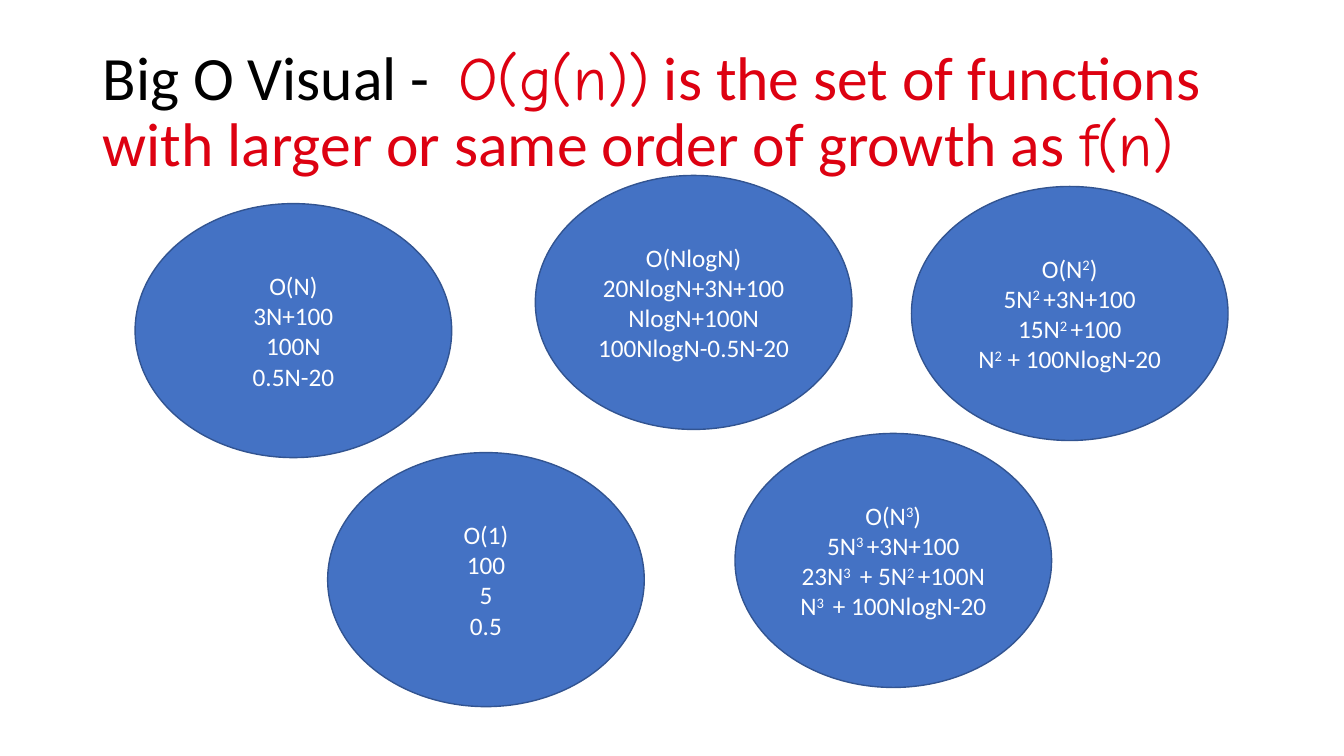
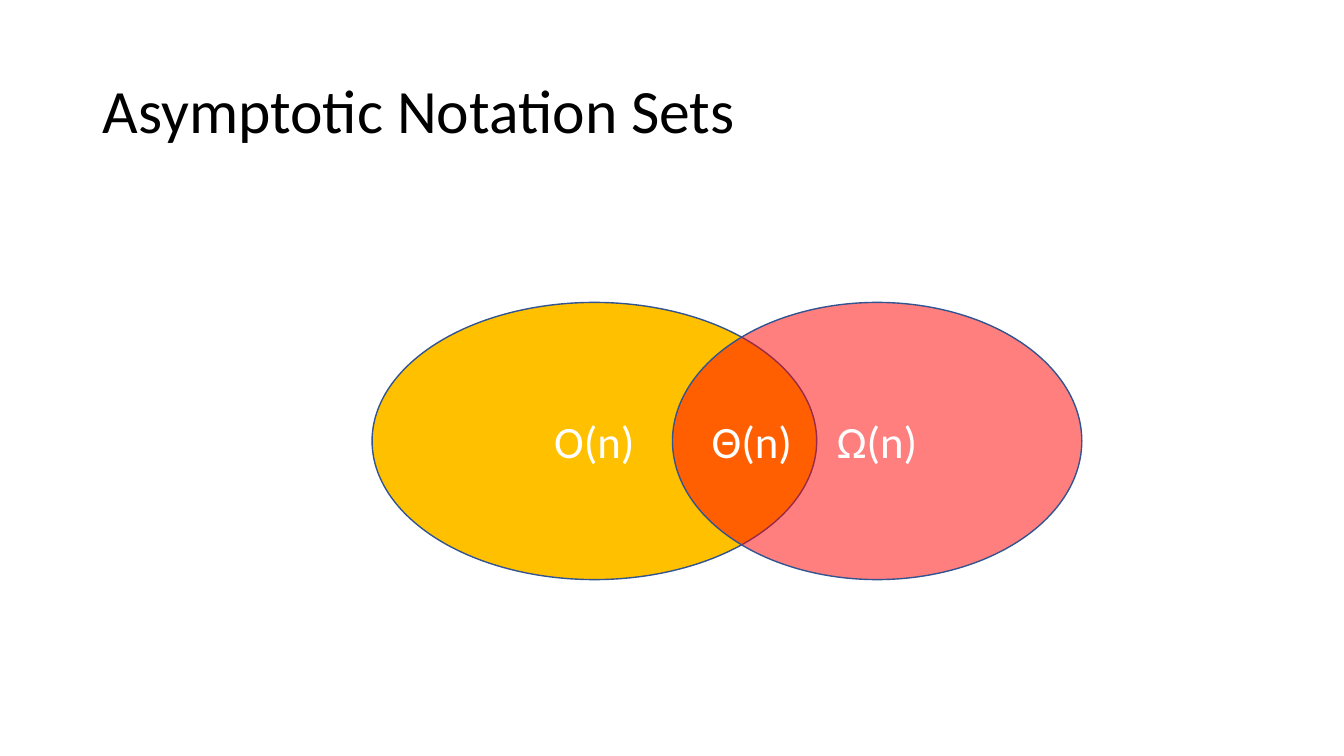
import pptx
import pptx.util
import pptx.dml.color
import pptx.enum.shapes
import pptx.enum.text
import pptx.oxml.ns
import lxml.etree

Inches = pptx.util.Inches
RGBColor = pptx.dml.color.RGBColor
ALIGN = pptx.enum.text.PP_ALIGN
ANCHOR = pptx.enum.text.MSO_ANCHOR

BLACK = RGBColor(0x00, 0x00, 0x00)
WHITE = RGBColor(0xFF, 0xFF, 0xFF)
CRIMSON = RGBColor(0xDD, 0x01, 0x11)
BLUE = RGBColor(0x44, 0x72, 0xC4)
NAVY = RGBColor(0x32, 0x54, 0x91)
GOLD = RGBColor(0xFF, 0xC0, 0x00)
RED = RGBColor(0xFF, 0x00, 0x00)

HEAD = {"name": "Calibri", "size": pptx.util.Pt(44), "color": BLACK}
BODY = {"name": "Calibri", "size": pptx.util.Pt(18), "color": WHITE}
LARGE = {**BODY, "size": pptx.util.Pt(32)}
NOTE = {"color": CRIMSON}
MATH = {"color": CRIMSON, "name": "Comic Neue"}

OVAL = (3.14, 2.52)
CLASSES = [
    ((1.34, 2.02), ["O(N)", "3N+100", "100N", "0.5N-20"]),
    ((5.31, 1.74), ["O(NlogN)", "20NlogN+3N+100", "NlogN+100N",
                    "100NlogN-0.5N-20"]),
    ((7.29, 4.3), ["O(N^3^)", "5N^3 ^+3N+100", "23N^3 ^ + 5N^2 ^+100N",
                   "N^3 ^ + 100NlogN-20"]),
    ((3.25, 4.49), ["O(1)", "100", "5", "0.5"]),
    ((9.04, 1.85), ["O(N^2^)", "5N^2 ^+3N+100", "15N^2 ^+100",
                    "N^2^ + 100NlogN-20"]),
]


def powers(line):
    """Split a line into runs; the parts between carets are raised."""
    return [(part, {"raised": True} if i % 2 else {})
            for i, part in enumerate(line.split("^")) if part]


class Deck:
    def __init__(self):
        self.show = pptx.Presentation()
        self.show.slide_width = Inches(13.33)
        self.show.slide_height = Inches(7.5)
        self.slide = None

    def page(self, *runs):
        self.slide = self.show.slides.add_slide(self.show.slide_layouts[6])
        frame = self.label((0.92, 0.4, 11.5, 1.45), [runs], HEAD)
        frame.vertical_anchor = ANCHOR.MIDDLE
        frame.paragraphs[0].line_spacing = 0.9

    def fill_text(self, frame, lines, style, align=ALIGN.LEFT):
        frame.word_wrap = True
        for i, runs in enumerate(lines):
            para = frame.add_paragraph() if i else frame.paragraphs[0]
            para.alignment = align
            for text, extra in runs:
                run = para.add_run()
                run.text = text
                self.dress(run, {**style, **extra})

    def dress(self, run, style):
        """Set the font of a run from a dict of format values."""
        for key, value in style.items():
            if key == "color":
                run.font.color.rgb = value
            elif key == "raised":
                run.font._element.set("baseline", "30000")
            else:
                setattr(run.font, key, value)

    def label(self, box, lines, style):
        frame = self.slide.shapes.add_textbox(*map(Inches, box)).text_frame
        self.fill_text(frame, lines, style)
        return frame

    def oval(self, box, lines, style=BODY, fill=BLUE, alpha=None):
        shape = self.slide.shapes.add_shape(
            pptx.enum.shapes.MSO_SHAPE.OVAL, *map(Inches, box))
        shape.shadow.inherit = False
        shape.fill.solid()
        shape.fill.fore_color.rgb = fill
        shape.line.color.rgb = NAVY
        shape.line.width = pptx.util.Pt(1)
        if alpha is not None:
            tag = pptx.oxml.ns.qn
            color = shape._element.spPr.find(
                tag("a:solidFill") + "/" + tag("a:srgbClr"))
            lxml.etree.SubElement(
                color, tag("a:alpha"), val=str(alpha * 1000))
        frame = shape.text_frame
        frame.vertical_anchor = ANCHOR.MIDDLE
        self.fill_text(frame, map(powers, lines), style, ALIGN.CENTER)


def main():
    deck = Deck()

    deck.page(("Big O Visual -  ", {}), ("O(g(n))", MATH),
              (" is the set of functions with larger or same order"
               " of growth as ", NOTE), ("f(n)", MATH))
    for spot, lines in CLASSES:
        deck.oval(spot + OVAL, lines)

    deck.page(("Asymptotic Notation Sets", {}))
    deck.oval((3.69, 3, 4.41, 2.75), ["O(n)"], LARGE, GOLD)
    deck.oval((6.67, 3, 4.06, 2.75), ["Ω(n)"], LARGE, RED, alpha=50)
    deck.label((6.96, 4.06, 1.05, 0.64), [powers("Θ(n)")], LARGE)

    deck.show.save("out.pptx")


if __name__ == "__main__":
    main()
